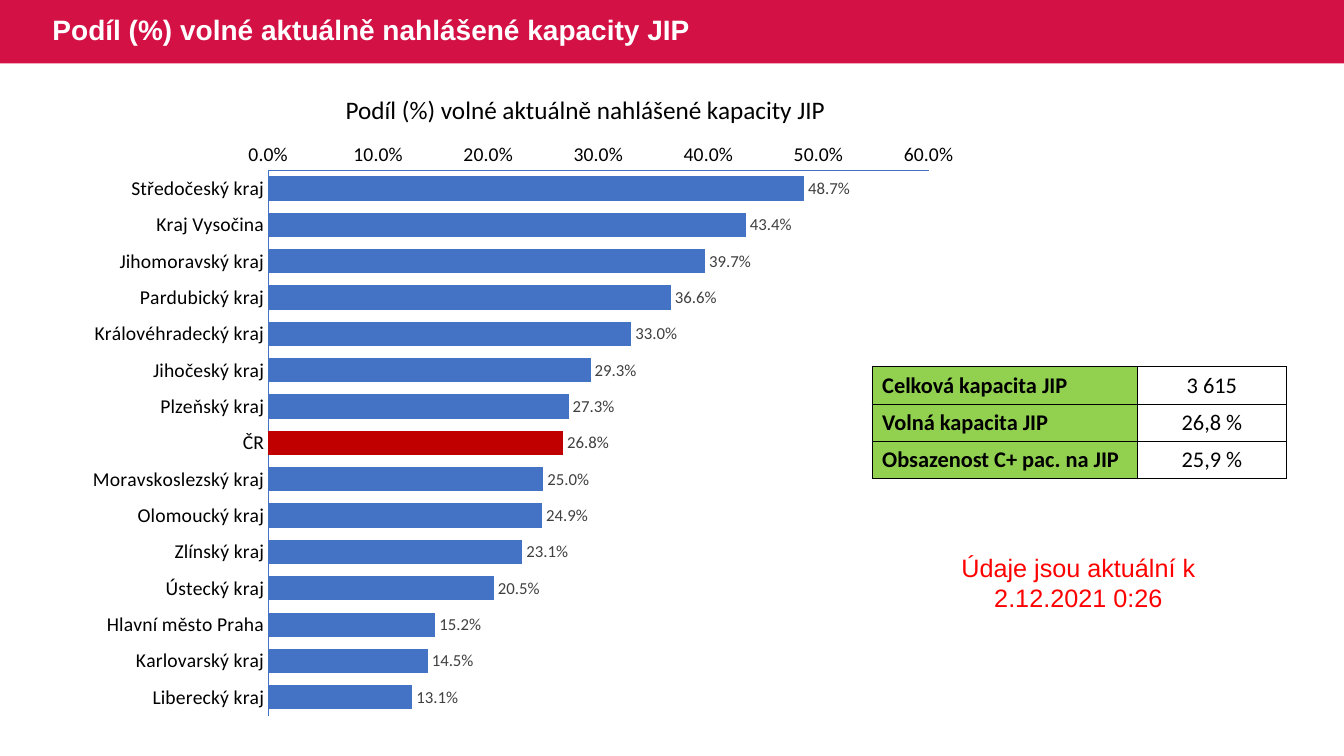
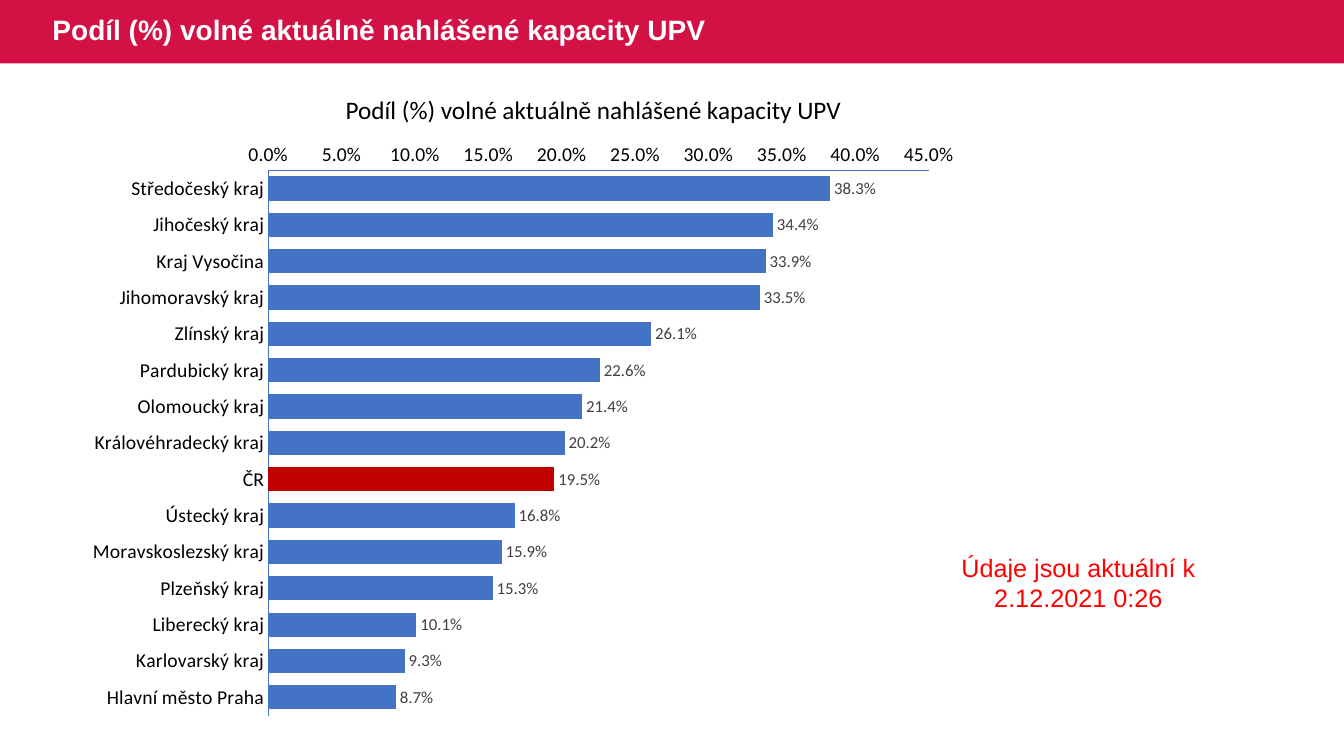
import pptx
import pptx.chart.data
import pptx.dml.color
import pptx.enum.chart
import pptx.enum.shapes
import pptx.enum.text
import pptx.oxml
import pptx.oxml.ns
import pptx.util
from lxml import etree

Inches = pptx.util.Inches
Pt = pptx.util.Pt
RGBColor = pptx.dml.color.RGBColor
Align = pptx.enum.text.PP_ALIGN
Anchor = pptx.enum.text.MSO_ANCHOR
Fit = pptx.enum.text.MSO_AUTO_SIZE

CRIMSON = RGBColor(0xD3, 0x11, 0x45)
WHITE = RGBColor(0xFF, 0xFF, 0xFF)
BLACK = RGBColor(0, 0, 0)
GREY = RGBColor(0x40, 0x40, 0x40)
BLUE = RGBColor(0x44, 0x72, 0xC4)
DARK_RED = RGBColor(0xC0, 0, 0)
RED = RGBColor(0xFF, 0, 0)
GREEN = RGBColor(0x92, 0xD0, 0x50)

WIDTH, HEIGHT, BAND = 13.33, 7.5, 0.63
NATION = "ČR"
PERCENT = "0.0%"

# Heading, axis top, axis step, and region shares of each slide
ICU = ("Podíl (%) volné aktuálně nahlášené kapacity JIP", 0.6, 0.1, {
    "Středočeský kraj": 0.487, "Kraj Vysočina": 0.434,
    "Jihomoravský kraj": 0.397, "Pardubický kraj": 0.366,
    "Královéhradecký kraj": 0.33, "Jihočeský kraj": 0.293,
    "Plzeňský kraj": 0.273, NATION: 0.268,
    "Moravskoslezský kraj": 0.25, "Olomoucký kraj": 0.249,
    "Zlínský kraj": 0.231, "Ústecký kraj": 0.205,
    "Hlavní město Praha": 0.152, "Karlovarský kraj": 0.145,
    "Liberecký kraj": 0.131})
VENT = ("Podíl (%) volné aktuálně nahlášené kapacity UPV", 0.45, 0.05, {
    "Středočeský kraj": 0.383, "Jihočeský kraj": 0.344,
    "Kraj Vysočina": 0.339, "Jihomoravský kraj": 0.335,
    "Zlínský kraj": 0.261, "Pardubický kraj": 0.226,
    "Olomoucký kraj": 0.214, "Královéhradecký kraj": 0.202,
    NATION: 0.195, "Ústecký kraj": 0.168,
    "Moravskoslezský kraj": 0.159, "Plzeňský kraj": 0.153,
    "Liberecký kraj": 0.101, "Karlovarský kraj": 0.093,
    "Hlavní město Praha": 0.087})
TOTALS = [("Celková kapacita JIP", "3 615"),
          ("Volná kapacita JIP", "26,8 %"),
          ("Obsazenost C+ pac. na JIP", "25,9 %")]


def style(font, size, color, name="Calibri", bold=False):
    font.size, font.name, font.bold = Pt(size), name, bold
    font.color.rgb = color


def write(frame, text, size, color, name="Calibri", bold=False,
          align=Align.LEFT):
    para = frame.paragraphs[0]
    para.alignment = align
    run = para.add_run()
    run.text = text
    style(run.font, size, color, name, bold)
    return para


def add_band(slide):
    """Draw the top band and hand it to the shared layout."""
    band = slide.shapes.add_shape(pptx.enum.shapes.MSO_SHAPE.RECTANGLE,
                                  0, 0, Inches(WIDTH), Inches(BAND))
    band.shadow.inherit = False
    band.fill.solid()
    band.fill.fore_color.rgb = CRIMSON
    band.line.fill.background()
    slide.slide_layout.shapes.element.insert(2, band.element)


def add_title(slide, text):
    title = slide.shapes.title
    title.left, title.top = Inches(0.42), 0
    title.width, title.height = Inches(11.56), Inches(BAND)
    frame = title.text_frame
    frame.auto_size = Fit.NONE
    frame.vertical_anchor = Anchor.MIDDLE
    write(frame, text, 20, WHITE, "Arial", True).line_spacing = 0.9


def add_text(slide, box, text, color, name, align, wrap):
    label = slide.shapes.add_textbox(*map(Inches, box))
    frame = label.text_frame
    frame.word_wrap = wrap
    frame.auto_size = Fit.SHAPE_TO_FIT_TEXT
    write(frame, text, 18, color, name, align=align)


def place_plot(chart, box, inner):
    """Pin the inner plot area, given in slide inches."""
    left, top, width, height = box
    parts = {"x": (inner[0] - left) / width, "y": (inner[1] - top) / height,
             "w": inner[2] / width, "h": inner[3] / height}
    qn = pptx.oxml.ns.qn
    plot = chart.element.find(".//" + qn("c:plotArea"))
    old = plot.find(qn("c:layout"))
    if old is not None:
        plot.remove(old)
    layout = etree.Element(qn("c:layout"))
    manual = etree.SubElement(layout, qn("c:manualLayout"))
    modes = [("layoutTarget", "inner"), ("xMode", "edge"), ("yMode", "edge")]
    for tag, val in modes + list(parts.items()):
        etree.SubElement(manual, qn("c:" + tag)).set("val", str(val))
    plot.insert(0, layout)


def add_bars(slide, box, shares, top, step):
    data = pptx.chart.data.CategoryChartData(number_format=PERCENT)
    data.categories = list(shares)
    data.add_series("Series 1", list(shares.values()))
    kind = pptx.enum.chart.XL_CHART_TYPE.BAR_CLUSTERED
    chart = slide.shapes.add_chart(kind, *map(Inches, box), data).chart
    chart.has_legend = chart.has_title = False
    style(chart.font, 10, BLACK)

    # Axes
    for axis in (chart.category_axis, chart.value_axis):
        axis.has_major_gridlines = False
        axis.major_tick_mark = pptx.enum.chart.XL_TICK_MARK.NONE
        axis.minor_tick_mark = pptx.enum.chart.XL_TICK_MARK.NONE
        axis.format.line.color.rgb = BLUE
        axis.format.line.width = Pt(0.75)
        style(axis.tick_labels.font, 14, BLACK)
    chart.category_axis.reverse_order = True
    scale = chart.value_axis
    scale.minimum_scale, scale.maximum_scale = 0, top
    scale.major_unit = step
    scale.tick_labels.number_format = PERCENT
    scale.tick_labels.number_format_is_linked = False

    # Bars, with the national one set apart
    plot = chart.plots[0]
    plot.gap_width, plot.vary_by_categories = 50, False
    bars = plot.series[0]
    bars.invert_if_negative = False
    mark = bars.points[list(shares).index(NATION)]
    for item, color in ((bars, BLUE), (mark, DARK_RED)):
        item.format.fill.solid()
        item.format.fill.fore_color.rgb = color

    # Value labels
    labels = bars.data_labels
    labels.show_value = True
    labels.number_format, labels.number_format_is_linked = PERCENT, False
    labels.position = pptx.enum.chart.XL_LABEL_POSITION.OUTSIDE_END
    style(labels.font, 12, GREY)
    place_plot(chart, box, (2.66, 1.69, 6.55, 5.41))


def add_edges(cell):
    props = cell._tc.get_or_add_tcPr()
    for side in ("lnL", "lnR", "lnT", "lnB"):
        props.append(pptx.oxml.parse_xml(
            f'<a:{side} {pptx.oxml.ns.nsdecls("a")} w="{Pt(0.75)}">'
            f'<a:solidFill><a:srgbClr val="{BLACK}"/></a:solidFill>'
            f'</a:{side}>'))


def add_totals(slide, left, top):
    widths, tall = (2.63, 1.48), 0.37
    table = slide.shapes.add_table(
        len(TOTALS), len(widths), Inches(left), Inches(top),
        Inches(sum(widths)), Inches(tall * len(TOTALS))).table
    table.first_row = table.horz_banding = False
    for col, width in zip(table.columns, widths):
        col.width = Inches(width)
    for row, texts in zip(table.rows, TOTALS):
        row.height = Inches(tall)
        for cell, text, head in zip(row.cells, texts, (True, False)):
            add_edges(cell)
            if head:
                cell.fill.solid()
                cell.fill.fore_color.rgb = GREEN
            else:
                cell.fill.background()
                cell.vertical_anchor = Anchor.MIDDLE
            write(cell.text_frame, text, 16, BLACK, bold=head,
                  align=Align.LEFT if head else Align.CENTER)


def add_page(deck, heading, top, step, shares):
    slide = deck.slides.add_slide(deck.slide_layouts[5])
    add_title(slide, heading)
    add_bars(slide, (0.74, 1.3, 8.89, 5.93), shares, top, step)
    add_text(slide, (3.33, 0.89, 5.15, 0.4), heading, BLACK, "Calibri",
             Align.LEFT, False)
    add_text(slide, (9.42, 5.43, 2.55, 0.71),
             "Údaje jsou aktuální k 2.12.2021 0:26", RED, "Arial",
             Align.CENTER, True)
    return slide


def main():
    deck = pptx.Presentation()
    deck.slide_width, deck.slide_height = Inches(WIDTH), Inches(HEIGHT)
    first = add_page(deck, *ICU)
    add_band(first)
    add_totals(first, 8.65, 3.64)
    add_page(deck, *VENT)
    deck.save("out.pptx")


if __name__ == "__main__":
    main()
